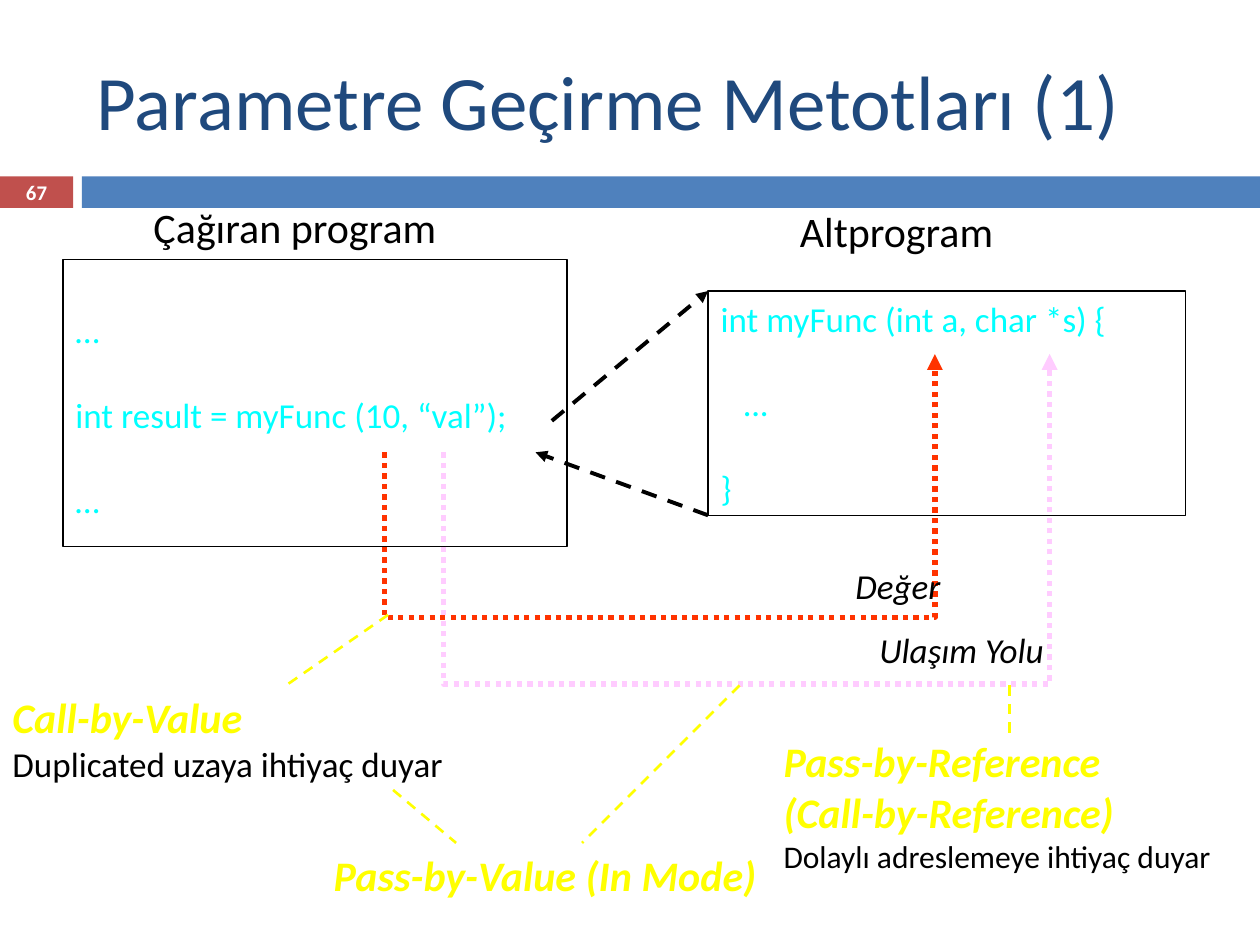
from lxml import etree
from pptx import Presentation
from pptx.dml.color import RGBColor
from pptx.enum import dml, shapes, text
from pptx.oxml.ns import qn
from pptx.util import Inches, Pt

COLORS = {
    "navy": "1F497D", "blue": "4F81BD", "brick": "C0504D", "white": "FFFFFF",
    "black": "000000", "cyan": "00FFFF", "yellow": "FFFF00",
    "red": "FF3300", "pink": "FFCCFF",
}
DASH = dml.MSO_LINE.DASH
DOTS = dml.MSO_LINE.ROUND_DOT

prs = Presentation()
prs.slide_width, prs.slide_height = Inches(10), Inches(7.5)
slide = prs.slides.add_slide(prs.slide_layouts[6])


def write(holder, lines, anchor=text.MSO_ANCHOR.TOP, align=text.PP_ALIGN.LEFT, gap=0):
    frame = holder.text_frame
    frame.word_wrap = True
    frame.vertical_anchor = anchor
    for i, (words, size, color, bold, italic) in enumerate(lines):
        paragraph = frame.paragraphs[0] if i == 0 else frame.add_paragraph()
        paragraph.alignment = align
        if i and gap:
            paragraph.space_before = Pt(gap)
        run = paragraph.add_run()
        run.text = words
        run.font.name = "Calibri"
        run.font.size = Pt(size)
        run.font.bold = bold
        run.font.italic = italic
        run.font.color.rgb = RGBColor.from_string(COLORS[color])
    return frame


def connect(kind, start, end, color, width, dash, arrow=False):
    line = slide.shapes.add_connector(kind, *map(Inches, start + end))
    line.line.color.rgb = RGBColor.from_string(COLORS[color])
    line.line.width = Pt(width)
    line.line.dash_style = dash
    if arrow:
        etree.SubElement(line.line._get_or_add_ln(), qn("a:tailEnd"), type="triangle")
    etree.SubElement(line._element.spPr, qn("a:effectLst"))
    return line


for left, width, color in [(0, 0.58, "brick"), (0.65, 9.35, "blue")]:
    band = slide.shapes.add_shape(
        shapes.MSO_SHAPE.RECTANGLE, Inches(left), Inches(1.4), Inches(width), Inches(0.25))
    band.shadow.inherit = False
    band.fill.solid()
    band.fill.fore_color.rgb = RGBColor.from_string(COLORS[color])
    band.line.fill.background()

title = slide.shapes.add_textbox(Inches(0.67), Inches(0.25), Inches(8.92), Inches(1.08))
write(title, [("Parametre Geçirme Metotları (1)", 44, "navy", False, False)],
      text.MSO_ANCHOR.MIDDLE)

programs = [
    ((5.62, 2.31, 3.79, 1.78), 0.05,
     [("int myFunc (int a, char *s) {", False), ("…", True), ("}", False)]),
    ((0.5, 2.06, 4, 2.28), 0.39,
     [("…", False), ("int result = myFunc (10, “val”);", False), ("…", False)]),
]
for place, top_margin, code in programs:
    program = slide.shapes.add_shape(shapes.MSO_SHAPE.RECTANGLE, *map(Inches, place))
    program.shadow.inherit = False
    program.fill.background()
    program.line.color.rgb = RGBColor.from_string(COLORS["black"])
    program.line.width = Pt(0.75)
    frame = write(program, [(words, 20, "cyan", False, italic) for words, italic in code],
                  gap=24.4)
    frame.margin_top = Inches(top_margin)
    for paragraph, (words, indented) in zip(frame.paragraphs, code):
        if indented:
            paragraph._p.get_or_add_pPr().set("marL", str(Inches(0.19)))

STRAIGHT = shapes.MSO_CONNECTOR.STRAIGHT
for start, end in [((4.38, 3.34), (5.62, 2.31)), ((5.62, 4.09), (4.25, 3.59))]:
    connect(STRAIGHT, start, end, "black", 2.25, DASH, True)

ARGUMENT_Y, PARAMETER_Y = 3.59, 2.81
rise = ARGUMENT_Y - PARAMETER_Y
for argument_x, parameter_x, low_y, color in [
        (3.05, 7.42, 4.9, "red"), (3.52, 8.33, 5.43, "pink")]:
    span = parameter_x - argument_x
    mid_x, mid_y = (argument_x + parameter_x) / 2, (ARGUMENT_Y + PARAMETER_Y) / 2
    passing = connect(shapes.MSO_CONNECTOR.ELBOW,
                      (mid_x + rise / 2, mid_y + span / 2),
                      (mid_x - rise / 2, mid_y - span / 2), color, 3, DOTS, True)
    passing._element.spPr.find(qn("a:xfrm")).set("rot", "5400000")
    geometry = passing._element.spPr.find(qn("a:prstGeom"))
    guides = geometry.find(qn("a:avLst"))
    if guides is None:
        guides = etree.SubElement(geometry, qn("a:avLst"))
    bend = round((ARGUMENT_Y - low_y) / rise * 100000)
    etree.SubElement(guides, qn("a:gd"), name="adj1", fmla=f"val {bend}")

for start, end in [
        ((3.08, 4.88), (2.27, 5.44)), ((8.01, 5.44), (8.01, 5.82)),
        ((3.12, 6.27), (3.62, 6.69)), ((5.87, 5.44), (4.62, 6.69))]:
    connect(STRAIGHT, start, end, "yellow", 1.5, DASH)

labels = [
    ((0, 5.44, 3.62, 0.84), [
        ("Call-by-Value", 24, "yellow", True, True),
        ("Duplicated uzaya ihtiyaç duyar", 20, "black", False, False)]),
    ((6.12, 5.79, 3.62, 1.21), [
        ("Pass-by-Reference", 24, "yellow", True, True),
        ("(Call-by-Reference)", 24, "yellow", True, True),
        ("Dolaylı adreslemeye ihtiyaç duyar", 18, "black", False, False)]),
    ((2.55, 6.69, 5.03, 0.5), [("Pass-by-Value (In Mode)", 24, "yellow", True, True)]),
    ((6.69, 4.43, 1, 0.43), [("Değer", 20, "black", False, True)]),
    ((6.88, 4.94, 1.75, 0.43), [("Ulaşım Yolu", 20, "black", False, True)]),
    ((1.12, 1.55, 2.5, 0.5), [("Çağıran program", 24, "black", False, False)]),
    ((6.25, 1.58, 2.5, 0.5), [("Altprogram", 24, "black", False, False)]),
]
for place, lines in labels:
    write(slide.shapes.add_textbox(*map(Inches, place)), lines)

page_number = slide.shapes.add_textbox(0, Inches(1.39), Inches(0.58), Inches(0.27))
write(page_number, [("67", 11.9, "white", True, False)],
      text.MSO_ANCHOR.MIDDLE, text.PP_ALIGN.CENTER)

prs.save("out.pptx")
